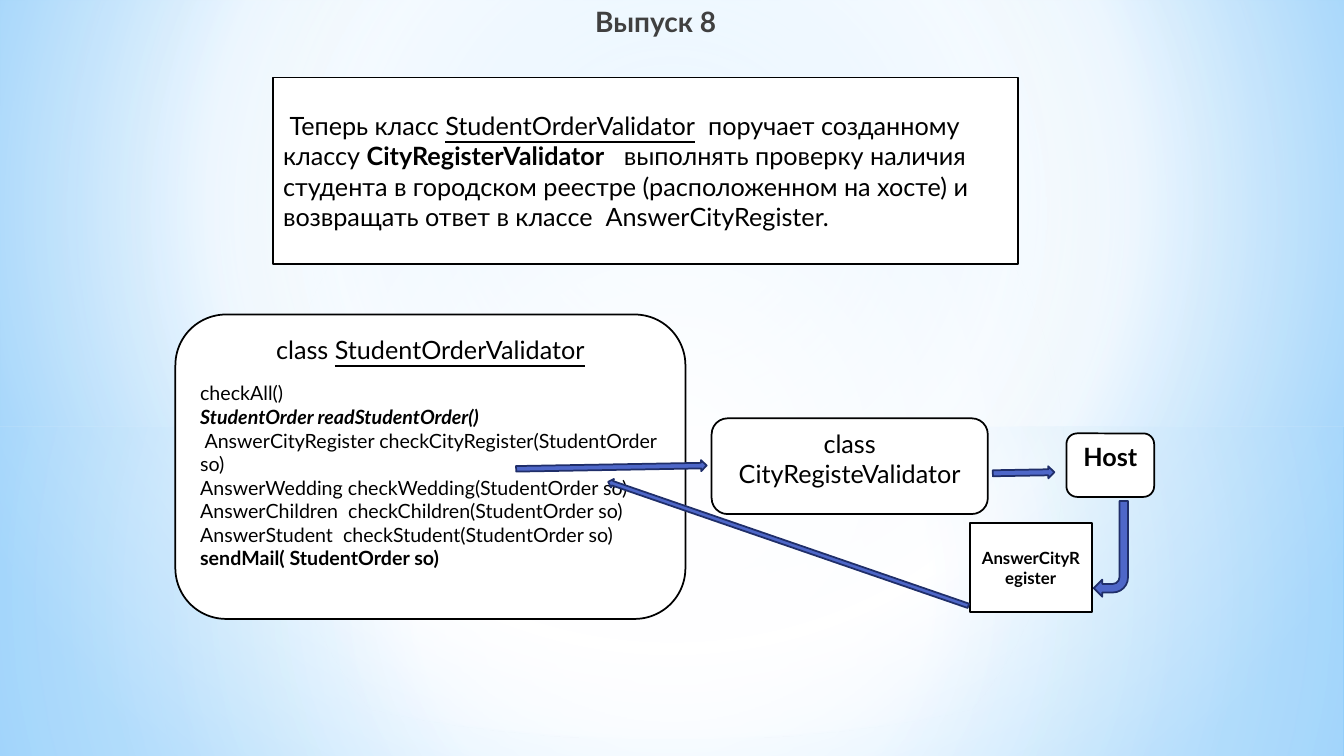
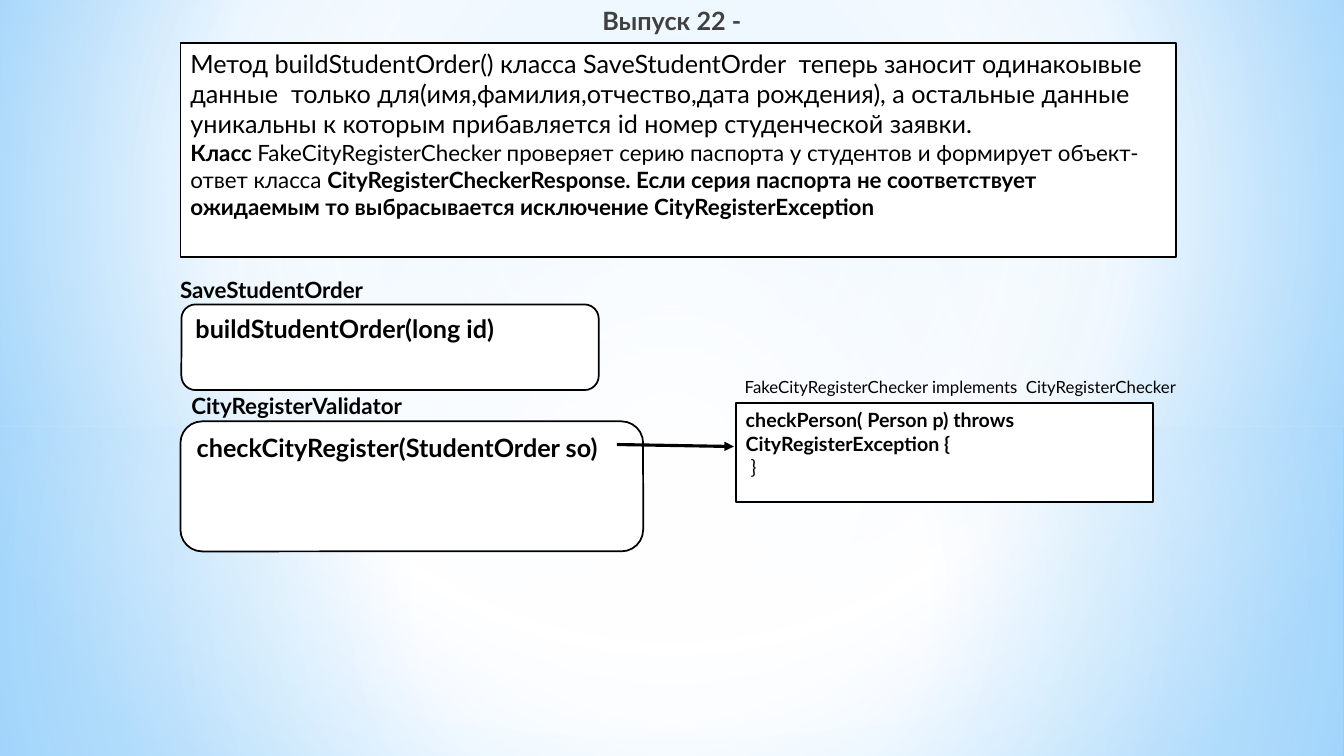
from lxml.etree import SubElement
from pptx import Presentation
from pptx.dml.color import RGBColor
from pptx.enum.shapes import MSO_CONNECTOR, MSO_SHAPE
from pptx.enum.text import MSO_ANCHOR, PP_ALIGN
from pptx.oxml.ns import qn
from pptx.util import Inches, Pt

# One grid cell is a tenth of an inch: 133.33 columns by 75 rows.
CELL = Inches(0.1)
COLUMNS, ROWS = 133.33, 75

FONT = "Lato"
INK, PAPER, TITLE_INK = "000000", "FFFFFF", "404040"
ARROW_FILL, ARROW_LINE = "4E67C8", "1F2E69"
HAZE = "B4DCFA"
CENTER = {"alignment": PP_ALIGN.CENTER}
MIDDLE = {"vertical_anchor": MSO_ANCHOR.MIDDLE}
BOLD, UNDERLINED = {"bold": True}, {"underline": True}

PAGE_STOPS = [(0, "9ED5FF", 100), (60, PAPER, 100), (100, "5BB9FF", 100)]
# preset, place, stops of (position, colour, opacity), linear angle or None
BACKDROP = [
    (MSO_SHAPE.RECTANGLE, (0, 42.3, COLUMNS, 32.7),
     [(0, PAPER, 91), (37, PAPER, 76), (100, HAZE, 79)], None),
    (MSO_SHAPE.RECTANGLE, (0, 0, COLUMNS, 42.3),
     [(0, PAPER, 89), (48, PAPER, 62), (100, HAZE, 79)], None),
    (MSO_SHAPE.RECTANGLE, (0, 29, COLUMNS, 25),
     [(0, PAPER, 0), (29, PAPER, 30), (45, HAZE, 40), (55, PAPER, 26),
      (65, HAZE, 60), (100, PAPER, 0)], 90),
    (MSO_SHAPE.OVAL, (0, 17.5, COLUMNS, 55.8),
     [(0, PAPER, 100), (54, PAPER, 0)], None),
]


def grid(*cells):
    return [int(cell * CELL) for cell in cells]


def color(hex_value):
    return RGBColor.from_string(hex_value)


def assign(target, values):
    for key, value in values.items():
        setattr(target, key, value)


def paint_gradient(fill, owner, stops, angle=None, focus=(50, 50, 50, 50)):
    """Give owner's fill a linear gradient, or a circular one without angle."""
    fill.gradient()
    gradient = owner.find(".//" + qn("a:gradFill"))
    for child in list(gradient):
        gradient.remove(child)
    stop_list = SubElement(gradient, qn("a:gsLst"))
    for position, hex_value, opacity in stops:
        stop = SubElement(stop_list, qn("a:gs"), pos=str(position * 1000))
        tint = SubElement(stop, qn("a:srgbClr"), val=hex_value)
        if opacity < 100:
            SubElement(tint, qn("a:alpha"), val=str(opacity * 1000))
    if angle is None:
        circle = SubElement(gradient, qn("a:path"), path="circle")
        sides = {side: str(share * 1000) for side, share in zip("ltrb", focus)}
        SubElement(circle, qn("a:fillToRect"), sides)
    else:
        SubElement(gradient, qn("a:lin"), ang=str(angle * 60000), scaled="0")


def dress_master(master, slide):
    """Build the backdrop on slide and move it to the master."""
    paint_gradient(master.background.fill, master.element, PAGE_STOPS,
                   focus=(20, 10, 20, 60))
    for number, (preset, place, stops, angle) in enumerate(BACKDROP, 101):
        layer = slide.shapes.add_shape(preset, *grid(*place))
        layer.shadow.inherit = False
        layer.line.fill.background()
        paint_gradient(layer.fill, layer.element, stops, angle)
        layer.element.nvSpPr.cNvPr.id = number
        master.element.cSld.spTree.append(layer.element)


def write(frame, paragraphs, font, layout=None, ink=INK):
    """Fill frame; a paragraph is a list of (text, font values) runs."""
    frame.word_wrap = True
    for index, runs in enumerate(paragraphs):
        paragraph = frame.paragraphs[0] if index == 0 else frame.add_paragraph()
        assign(paragraph, {"alignment": PP_ALIGN.LEFT, **(layout or {})})
        for text, values in runs:
            run = paragraph.add_run()
            run.text = text
            assign(run.font, {"name": FONT, **font, **values})
            run.font.color.rgb = color(ink)


def solid(slide, preset, place, fill, line):
    shape = slide.shapes.add_shape(preset, *grid(*place))
    shape.shadow.inherit = False
    shape.fill.solid()
    shape.fill.fore_color.rgb = color(fill)
    shape.line.color.rgb = color(line)
    shape.line.width = Pt(1.25)
    return shape


def box(slide, preset, place, paragraphs, font, layout=None, anchor=None):
    frame = solid(slide, preset, place, PAPER, INK).text_frame
    assign(frame, {"vertical_anchor": MSO_ANCHOR.TOP, **(anchor or {})})
    write(frame, paragraphs, font, layout)
    return frame


def label(slide, place, text, font, layout=None, ink=INK):
    frame = slide.shapes.add_textbox(*grid(*place)).text_frame
    write(frame, [[(text, {})]], font, layout, ink)
    return frame


def title(slide, left, width, text, size):
    frame = label(slide, (left, 0, width, 5.8), text,
                  {"size": Pt(size), **BOLD}, CENTER, TITLE_INK)
    frame.paragraphs[0].element.get_or_add_pPr().set("marL", str(2 * CELL)) \
        if hasattr(frame.paragraphs[0], "element") else \
        frame.paragraphs[0]._p.get_or_add_pPr().set("marL", str(2 * CELL))


def block_arrow(slide, preset, place, rotation):
    solid(slide, preset, place, ARROW_FILL, ARROW_LINE).rotation = rotation


def line_arrow(slide, start, end):
    arrow = slide.shapes.add_connector(MSO_CONNECTOR.STRAIGHT,
                                       *grid(*start, *end))
    arrow.line.color.rgb = color(INK)
    arrow.line.width = Pt(2.25)
    SubElement(arrow.line._get_or_add_ln(), qn("a:tailEnd"), type="triangle")
    SubElement(arrow.element.spPr, qn("a:effectLst"))


def build_validator_slide(slide):
    rounded, process = MSO_SHAPE.ROUNDED_RECTANGLE, MSO_SHAPE.FLOWCHART_PROCESS
    large, code, small = ({"size": Pt(size)} for size in (18, 14, 12))

    methods = [
        ("checkAll()", {}),
        ("StudentOrder readStudentOrder()", {"bold": True, "italic": True}),
        (" AnswerCityRegister checkCityRegister(StudentOrder so)", {}),
        ("AnswerWedding checkWedding(StudentOrder so)", {}),
        ("AnswerChildren  checkChildren(StudentOrder so)", {}),
        ("AnswerStudent  checkStudent(StudentOrder so)", {}),
        ("sendMail( StudentOrder so)", BOLD),
    ]
    heading = [("class ", large), ("StudentOrderValidator", {**large, **UNDERLINED})]
    validator = box(slide, rounded, (17.4, 31.2, 50.6, 30.2),
                    [heading] + [[method] for method in methods], code)
    assign(validator.paragraphs[0], {**CENTER, "space_after": Pt(12)})

    box(slide, rounded, (105.8, 43, 8.7, 6.3), [[("Host", BOLD)]], large, CENTER)
    box(slide, process, (27.1, 7.7, 73.9, 18.5), [[
        (" Теперь класс ", {}),
        ("StudentOrderValidator", UNDERLINED),
        ("  поручает созданному классу ", {}),
        ("CityRegisterValidator", BOLD),
        ("   выполнять проверку наличия студента в городском реестре "
         "(расположенном на хосте) и возвращать ответ в классе "
         " AnswerCityRegister.", {}),
    ]], large, anchor=MIDDLE)
    title(slide, 24.8, 78.5, "Выпуск 8", 20)
    box(slide, process, (96.2, 51.9, 12.1, 8.8),
        [[("AnswerCityRegister", BOLD)]], small, CENTER, MIDDLE)
    box(slide, rounded, (70.6, 41.5, 27.4, 9.5),
        [[("class", {})], [("CityRegisteValidator", {})]], large, CENTER)

    for preset, place, rotation in [
        (MSO_SHAPE.RIGHT_ARROW, (51.2, 45.8, 18.9, 1.1), 359),
        (MSO_SHAPE.RIGHT_ARROW, (98.5, 46.3, 6.1, 1.2), 359),
        (MSO_SHAPE.BENT_ARROW, (108.5, 49.7, 3.4, 9.5), 180),
        (MSO_SHAPE.RIGHT_ARROW, (59.3, 53.5, 37.8, 0.9), 199),
    ]:
        block_arrow(slide, preset, place, rotation)


def build_checker_slide(slide):
    rounded, process = MSO_SHAPE.ROUNDED_RECTANGLE, MSO_SHAPE.FLOWCHART_PROCESS
    large, medium, code, small = ({"size": Pt(size)} for size in (18, 16, 14, 12))

    box(slide, process, (17.9, 4.3, 98.8, 21.2), [
        [("Метод buildStudentOrder() класса SaveStudentOrder  теперь заносит "
          "одинакоывые данные  только для(имя,фамилия,отчество,дата рождения), "
          "а остальные данные уникальны к которым прибавляется id номер "
          "студенческой заявки.", large)],
        [("Класс ", BOLD),
         ("FakeCityRegisterChecker проверяет серию паспорта у студентов и "
          "формирует объект-ответ класса ", {}),
         ("CityRegisterCheckerResponse. Если серия паспорта не соответствует "
          "ожидаемым то выбрасывается исключение CityRegisterException", BOLD)],
    ], medium)
    title(slide, 17, 97.3, "Выпуск 22 -", 18)

    for place, method in [
        ((18, 30.2, 41.4, 8.5), "buildStudentOrder(long id)"),
        ((17.9, 41.8, 45.9, 12.9), "checkCityRegister(StudentOrder so)"),
    ]:
        box(slide, rounded, place, [[(method, BOLD)]], large)
    label(slide, (15.2, 26.9, 23.5, 3.7), "SaveStudentOrder",
          {**medium, **BOLD}, CENTER)
    label(slide, (18, 38.4, 47.3, 6.7), "CityRegisterValidator",
          {**medium, **BOLD})
    label(slide, (72.9, 36.9, 47.3, 6.3),
          "FakeCityRegisterChecker implements  CityRegisterChecker", small)
    box(slide, process, (73, 40, 41.4, 9.8), [
        [("checkPerson( Person p) throws CityRegisterException {", BOLD)],
        [(" }", {})],
    ], code)
    line_arrow(slide, (61.2, 44.1), (72.8, 44.3))


def main():
    deck = Presentation()
    deck.slide_width, deck.slide_height = grid(COLUMNS, ROWS)
    blank = deck.slide_layouts[6]
    validator_slide, checker_slide = (deck.slides.add_slide(blank) for _ in range(2))
    dress_master(deck.slide_master, validator_slide)
    build_validator_slide(validator_slide)
    build_checker_slide(checker_slide)
    deck.save("out.pptx")


if __name__ == "__main__":
    main()
